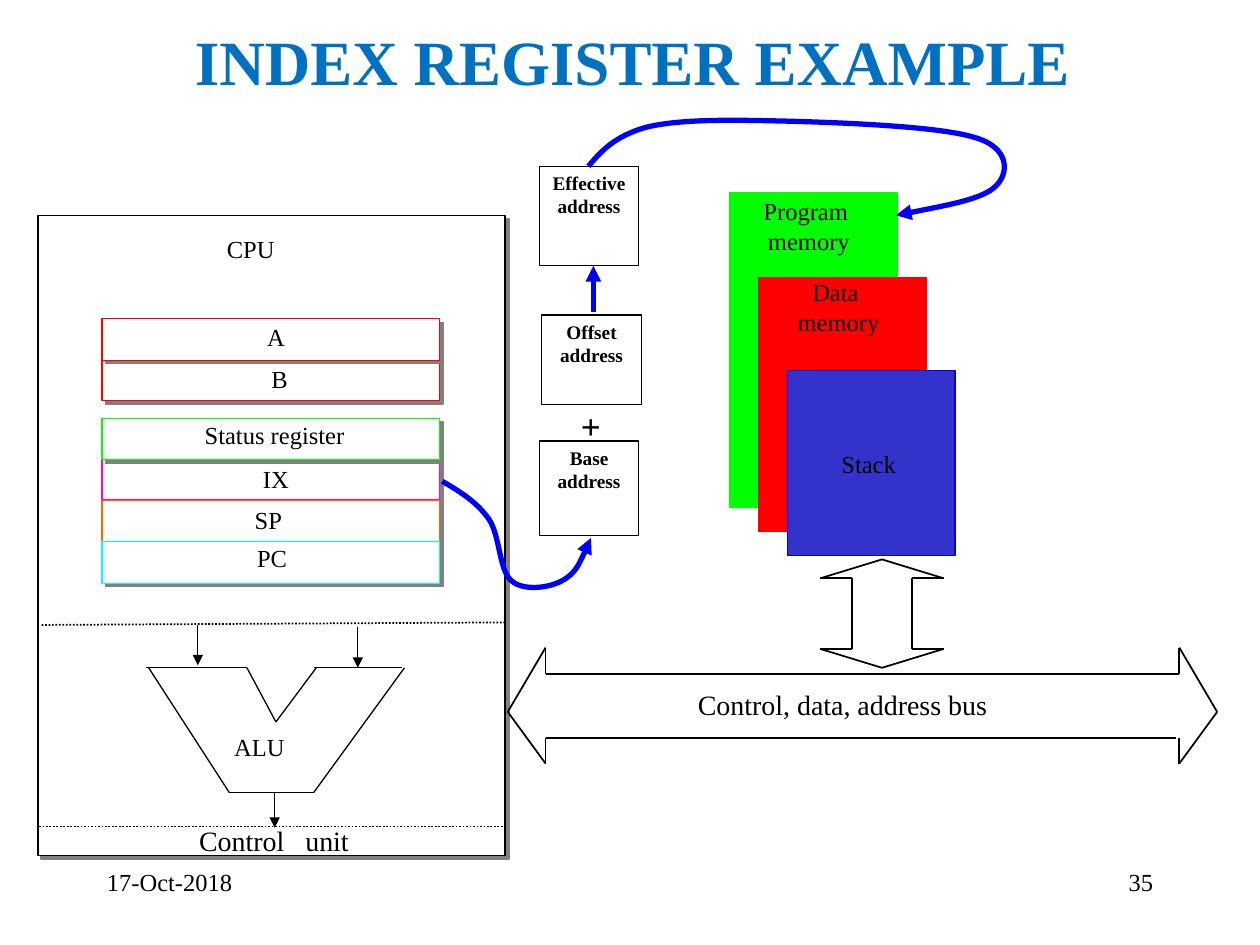
from dataclasses import dataclass
from lxml import etree
from pptx import Presentation
from pptx.dml.color import RGBColor
from pptx.enum.dml import MSO_LINE
from pptx.enum.shapes import MSO_CONNECTOR, MSO_SHAPE
from pptx.enum.text import MSO_ANCHOR, PP_ALIGN
from pptx.oxml.ns import qn
from pptx.util import Inches, Pt

RECT, STRAIGHT = MSO_SHAPE.RECTANGLE, MSO_CONNECTOR.STRAIGHT
LEFT, CENTER, RIGHT = PP_ALIGN.LEFT, PP_ALIGN.CENTER, PP_ALIGN.RIGHT
TOP, MIDDLE = MSO_ANCHOR.TOP, MSO_ANCHOR.MIDDLE
DOTTED = MSO_LINE.ROUND_DOT


@dataclass(frozen=True)
class Theme:
    font: str = "Times New Roman"
    title: str = "0070C0"
    black: str = "000000"
    white: str = "FFFFFF"
    shadow: str = "808080"
    blue: str = "0000FF"
    red: str = "FF0000"
    green: str = "00FF00"
    magenta: str = "FF00FF"
    orange: str = "FF6600"
    cyan: str = "00FFFF"
    stack: str = "3333CC"
    title_size: int = 36
    plus_size: int = 20
    bus_size: int = 16
    body_size: int = 14
    small_size: int = 11
    thin: float = 0.75
    medium: float = 1
    thick: float = 3


T = Theme()


def rgb(color):
    return RGBColor.from_string(color)


def write(sp, text, size, color=T.black, bold=False, align=CENTER, inset=0, anchor=TOP):
    tf = sp.text_frame
    tf.word_wrap = True
    tf.vertical_anchor = anchor
    tf.margin_left = tf.margin_right = Inches(inset)
    tf.margin_top = tf.margin_bottom = Inches(inset / 2)
    for i, line in enumerate(text.split("\n")):
        p = tf.paragraphs[0] if i == 0 else tf.add_paragraph()
        p.alignment = align
        r = p.add_run()
        r.text = line
        r.font.name, r.font.size, r.font.bold = T.font, Pt(size), bold
        r.font.color.rgb = rgb(color)


def label(s, x, y, w, h, text, size=T.body_size, **style):
    sp = s.shapes.add_textbox(Inches(x), Inches(y), Inches(w), Inches(h))
    write(sp, text, size, **style)


def rect(s, x, y, w, h, fill=T.white, line=T.black, width=T.thin, shadow=False):
    sp = s.shapes.add_shape(RECT, Inches(x), Inches(y), Inches(w), Inches(h))
    sp.shadow.inherit = False
    sp.fill.solid()
    sp.fill.fore_color.rgb = rgb(fill)
    sp.line.color.rgb = rgb(line)
    sp.line.width = Pt(width)
    if shadow:
        effects = sp._element.spPr.find(qn("a:effectLst"))
        outer = etree.SubElement(effects, qn("a:outerShdw"), dist=str(Pt(2.8)),
                                 dir="2700000", algn="ctr", rotWithShape="0")
        etree.SubElement(outer, qn("a:srgbClr"), val=T.shadow)
    return sp


def arrowhead(sp):
    etree.SubElement(sp.line._get_or_add_ln(), qn("a:tailEnd"), type="triangle")


def path(s, x, y, points, width=T.medium, dash=None, arrow=False):
    """Straight lines through points, measured from (x, y)."""
    for (x1, y1), (x2, y2) in zip(points, points[1:]):
        c = s.shapes.add_connector(STRAIGHT, Inches(x + x1), Inches(y + y1),
                                   Inches(x + x2), Inches(y + y2))
        c.line.color.rgb = rgb(T.black)
        c.line.width = Pt(width)
        if dash:
            c.line.dash_style = dash
        if arrow:
            arrowhead(c)
        etree.SubElement(c._element.spPr, qn("a:effectLst"))


def curve_arrow(s, x, y, points):
    """Start point, then three points for each Bezier segment."""
    pts = [(Inches(x + px), Inches(y + py)) for px, py in points]
    builder = s.shapes.build_freeform(*pts[0], scale=1.0)
    builder.add_line_segments(pts[1:], close=False)
    sp = builder.convert_to_shape()
    sp.shadow.inherit = False
    sp.fill.background()
    sp.line.color.rgb = rgb(T.blue)
    sp.line.width = Pt(T.thick)
    arrowhead(sp)
    segments = list(sp._element.iter(qn("a:lnTo")))
    outline = segments[0].getparent()
    for i in range(0, len(segments), 3):
        bezier = etree.SubElement(outline, qn("a:cubicBezTo"))
        for segment in segments[i:i + 3]:
            bezier.append(segment[0])
            outline.remove(segment)


def cpu(s, x, y, w, h):
    rect(s, x, y, w, h, width=T.medium, shadow=True)
    path(s, x, y, [(0.03, 3.25), (w, 3.23)], dash=DOTTED)
    path(s, x, y, [(0.01, 4.85), (w, 4.85)], dash=DOTTED)
    label(s, x + 0.47, y + 4.78, 2.81, 0.37, "Control   unit", T.bus_size, inset=0.1)
    label(s, x + 0.97, y + 0.15, 1.44, 0.24, "CPU")
    registers(s, x + 0.51, y + 0.82, 2.68, 0.33)
    alu(s, x + 0.86, y + 3.59)


def registers(s, x, y, w, h):
    # Name, row top, outline, label centre and label top; from back to front
    rows = [("IX", 1.11, T.magenta, 1.38, 0.04),
            ("Status register", 0.79, T.green, 1.37, 0.01),
            ("SP", 1.44, T.orange, 1.32, 0.04),
            ("PC", 1.77, T.cyan, 1.35, 0.01),
            ("B", 0.32, T.red, 1.41, 0.04),
            ("A", 0, T.red, 1.38, 0.03)]
    for _, top, color, _, _ in rows:
        rect(s, x, y + top, w, h, line=color, shadow=True)
    for name, top, _, mid, drop in rows:
        label(s, x + mid - 0.75, y + top + drop, 1.5, 0.24, name)


def alu(s, x, y):
    outline = [(0, 0), (0.8, 0), (1.03, 0.43), (1.35, 0)]
    path(s, x, y, outline, T.thin)
    path(s, x, y, [(2.03, 0), (1.33, 0)], T.thin)
    path(s, x, y, [(0.02, 0), (0.66, 0.99), (1.33, 0.99), (2.05, 0)], T.thin)
    label(s, x + 0.6, y + 0.46, 0.95, 0.34, "ALU", align=LEFT, inset=0.1)
    # Operands in, result out
    for ax, start, end in [(0.41, -0.34, -0.02), (1.68, -0.32, 0), (1.02, 0.99, 1.27)]:
        path(s, x, y, [(ax, start), (ax, end)], T.thin, arrow=True)


def bus(s, x, y, w, h):
    head, upper, lower, tip = 0.3, 0.21, 0.72, 0.51
    path(s, x, y, [(head, upper), (head, 0), (0, tip), (head, h), (head, lower),
                   (w - head - 0.03, lower)])
    path(s, x, y, [(head, upper), (w - head, upper), (w - head, 0), (w, tip),
                   (w - head, h), (w - head, lower)])
    label(s, x + 1.41, y + 0.27, 3.25, 0.37, "Control, data, address bus",
          T.bus_size, align=LEFT, inset=0.1)


def memory_link(s, x, y, w, h):
    head, side = 0.15, 0.25
    path(s, x, y, [(w / 2, 0), (0, head), (side, head), (side, h - head),
                   (0, h - head), (w / 2, h), (w, h - head), (w - side, h - head),
                   (w - side, head), (w, head), (w / 2, 0)])


def memory(s, x, y, w):
    step = 0.23
    blocks = [(0, 2.5, T.green, T.green), (0.67, 2.02, T.red, T.red),
              (1.41, 1.47, T.stack, T.blue)]
    for i, (top, h, fill, line) in enumerate(blocks):
        rect(s, x + i * step, y + top, w, h, fill, line)
    label(s, x + 0.01, y + 0.03, 1.24, 0.5, "Program \nmemory")
    label(s, x + 0.25, y + 0.67, 1.23, 0.49, "Data \nmemory")
    label(s, x + 0.62, y + 2.03, 0.97, 0.25, "Stack")


def addresses(s, x, y, w):
    for dx, top, h, text in [(0, 2.18, 0.75, "Base address"),
                             (0.02, 1.18, 0.71, "Offset\naddress"),
                             (0, 0, 0.79, "Effective address")]:
        write(rect(s, x + dx, y + top, w, h), text, T.small_size, bold=True, inset=0.08)
    label(s, x + 0.11, y + 1.89, 0.6, 0.25, "+", T.plus_size, bold=True)
    # IX to base, offset to effective, effective to program memory
    curve_arrow(s, x, y, [
        (-0.77, 2.5), (-0.63, 2.58), (-0.49, 2.67), (-0.4, 2.8),
        (-0.31, 2.93), (-0.32, 3.21), (-0.22, 3.29),
        (-0.13, 3.37), (0.07, 3.35), (0.18, 3.29), (0.29, 3.23), (0.35, 3.09), (0.41, 2.95)])
    curve_arrow(s, x, y, [(0.43, 1.16), (0.43, 1.16), (0.43, 0.98), (0.43, 0.79)])
    curve_arrow(s, x, y, [
        (0.39, 0), (0.49, -0.12), (0.6, -0.24), (0.85, -0.31),
        (1.1, -0.37), (1.45, -0.37), (1.88, -0.36), (2.32, -0.35), (3.16, -0.32), (3.45, -0.23),
        (3.74, -0.15), (3.73, 0.06), (3.62, 0.16), (3.52, 0.26), (3.18, 0.32), (2.83, 0.39)])


def footer(s, x, y, w):
    label(s, x, y, 2.08, 0.5, "17-Oct-2018", align=LEFT, inset=0.1)
    label(s, x + w - 2.08, y, 2.08, 0.5, "35", align=RIGHT, inset=0.1)


def main():
    prs = Presentation()
    prs.slide_width, prs.slide_height = Inches(10), Inches(7.5)
    s = prs.slides.add_slide(prs.slide_layouts[6])
    label(s, 0.77, 0.19, 8.5, 0.58, "INDEX REGISTER EXAMPLE", T.title_size,
          color=T.title, bold=True, anchor=MIDDLE)
    cpu(s, 0.3, 1.71, 3.71, 5.08)
    memory_link(s, 6.51, 4.44, 0.98, 0.86)
    bus(s, 4.03, 5.14, 5.63, 0.92)
    memory(s, 5.79, 1.53, 1.33)
    addresses(s, 4.28, 1.32, 0.79)
    footer(s, 0.75, 6.83, 8.5)
    prs.save("out.pptx")


if __name__ == "__main__":
    main()
